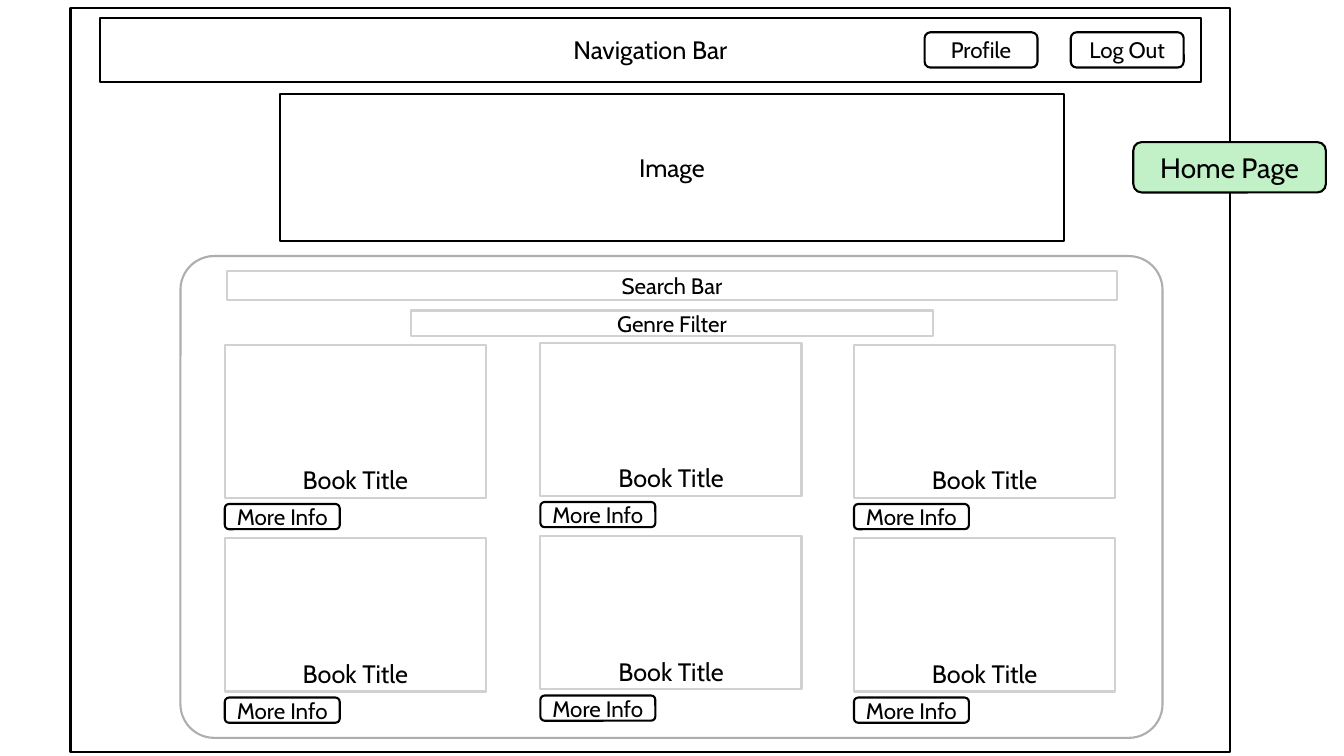
from dataclasses import dataclass

from pptx import Presentation
from pptx.dml.color import RGBColor
from pptx.enum.shapes import MSO_SHAPE
from pptx.enum.text import MSO_ANCHOR, MSO_AUTO_SIZE, PP_ALIGN
from pptx.util import Inches, Pt

RECT = MSO_SHAPE.RECTANGLE
ROUNDED = MSO_SHAPE.ROUNDED_RECTANGLE
MIDDLE = MSO_ANCHOR.MIDDLE
CENTER = PP_ALIGN.CENTER
GROW = MSO_AUTO_SIZE.SHAPE_TO_FIT_TEXT
BLANK_LAYOUT = 6


@dataclass(frozen=True)
class Theme:
    font: str = "Cabin"
    black: RGBColor = RGBColor(0x00, 0x00, 0x00)
    white: RGBColor = RGBColor(0xFF, 0xFF, 0xFF)
    green: RGBColor = RGBColor(0xC2, 0xF1, 0xC8)
    panel_gray: RGBColor = RGBColor(0xAE, 0xAE, 0xAE)
    field_gray: RGBColor = RGBColor(0xD1, 0xD1, 0xD1)
    tag_size: Pt = Pt(20)
    label_size: Pt = Pt(18)
    control_size: Pt = Pt(16)
    outline: Pt = Pt(1.5)


THEME = Theme()


@dataclass(frozen=True)
class Box:
    left: float
    top: float
    width: float
    height: float

    def inner(self, left, top, width, height):
        return Box(self.left + left, self.top + top, width, height)

    def lengths(self):
        return [Inches(n) for n in (self.left, self.top, self.width, self.height)]


def write_label(frame, text, size):
    frame.word_wrap = True
    para = frame.paragraphs[0]
    para.text = text
    para.alignment = CENTER
    para.font.name = THEME.font
    para.font.size = size
    para.font.color.rgb = THEME.black


def draw_block(shapes, box, text="", size=THEME.control_size, kind=RECT,
               line=THEME.black, fill=THEME.white, corner=0.167):
    block = shapes.add_shape(kind, *box.lengths())
    block.shadow.inherit = False
    block.fill.solid()
    block.fill.fore_color.rgb = fill
    block.line.color.rgb = line
    block.line.width = THEME.outline
    if kind == ROUNDED:
        block.adjustments[0] = corner
    if text:
        block.text_frame.vertical_anchor = MIDDLE
        write_label(block.text_frame, text, size)


def draw_book_card(shapes, box):
    draw_block(shapes, box, line=THEME.field_gray)
    title = shapes.add_textbox(*box.inner(0.12, 1.14, 2.35, 0.33).lengths())
    write_label(title.text_frame, "Book Title", THEME.label_size)
    title.text_frame.auto_size = GROW
    draw_block(shapes, box.inner(0, 1.58, 1.14, 0.25), "More Info", kind=ROUNDED)


def draw_catalog(page, box):
    shapes = page.shapes.add_group_shape().shapes
    draw_block(shapes, box, kind=ROUNDED, line=THEME.panel_gray, corner=0.07)
    draw_block(shapes, box.inner(0.46, 0.15, 8.83, 0.29), "Search Bar",
               line=THEME.field_gray)
    draw_block(shapes, box.inner(2.29, 0.54, 5.17, 0.25), "Genre Filter",
               line=THEME.field_gray)
    row_pitch = 1.92
    columns = [(0.44, 0.88), (3.57, 0.86), (6.68, 0.88)]
    for row in range(2):
        for left, top in columns:
            draw_book_card(shapes, box.inner(left, top + row * row_pitch, 2.59, 1.52))


def draw_navigation(page, box):
    shapes = page.shapes.add_group_shape().shapes
    draw_block(shapes, box, "Navigation Bar", THEME.label_size)
    for left, text in ((8.18, "Profile"), (9.63, "Log Out")):
        draw_block(shapes, box.inner(left, 0.14, 1.12, 0.35), text, kind=ROUNDED)


def draw_home_page(page, box):
    draw_block(page.shapes, box)
    draw_block(page.shapes, box.inner(10.54, 1.33, 1.91, 0.5), "Home Page",
               THEME.tag_size, ROUNDED, fill=THEME.green)
    draw_catalog(page, box.inner(1.09, 2.46, 9.74, 4.78))
    draw_block(page.shapes, box.inner(2.08, 0.85, 7.77, 1.46), "Image",
               THEME.label_size)
    draw_navigation(page, box.inner(0.29, 0.1, 10.92, 0.63))


def main():
    deck = Presentation()
    deck.slide_width = Inches(13.33)
    deck.slide_height = Inches(7.5)
    page = deck.slides.add_slide(deck.slide_layouts[BLANK_LAYOUT])
    draw_home_page(page, Box(0.7, 0.08, 11.5, 7.38))
    deck.save("out.pptx")


if __name__ == "__main__":
    main()
